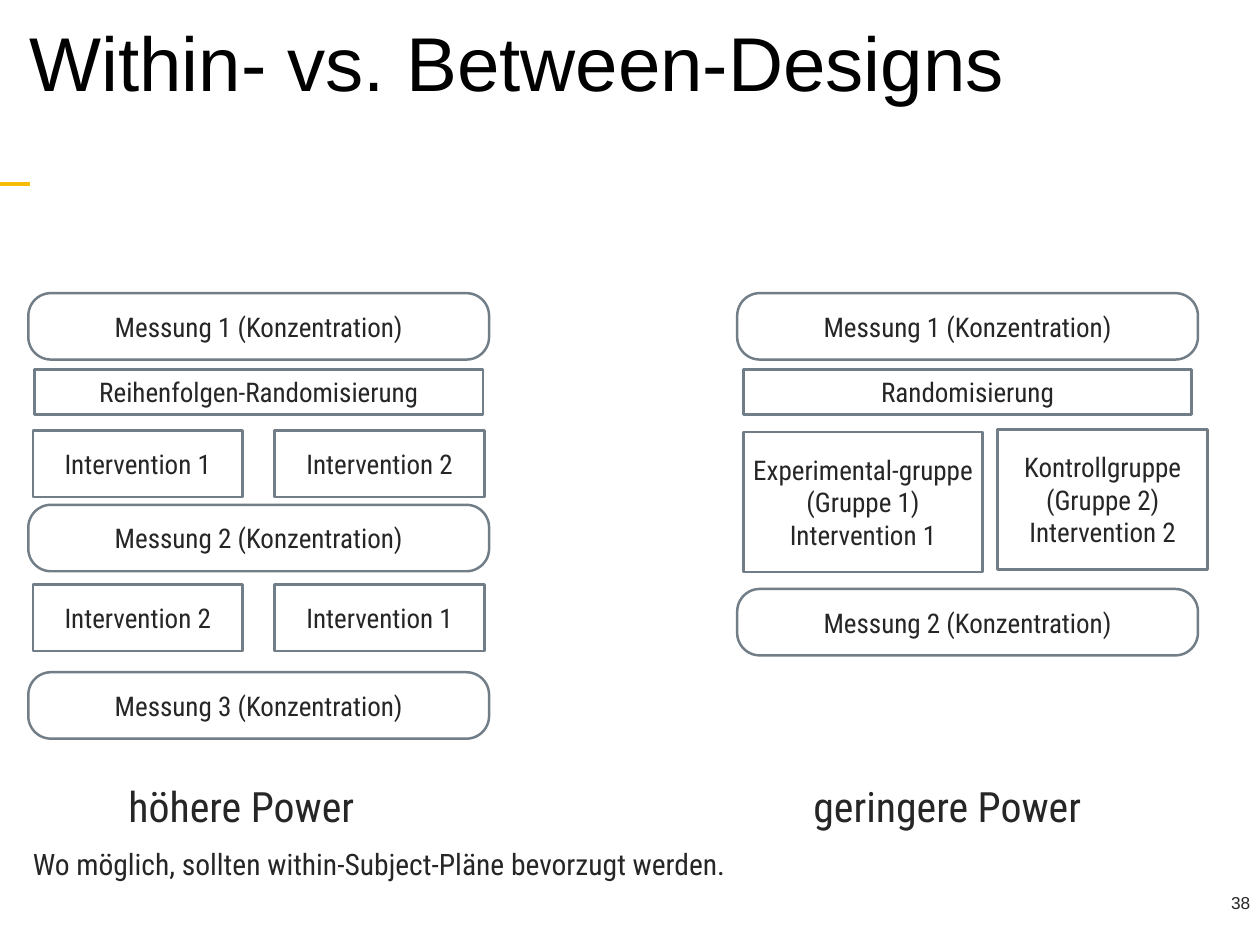
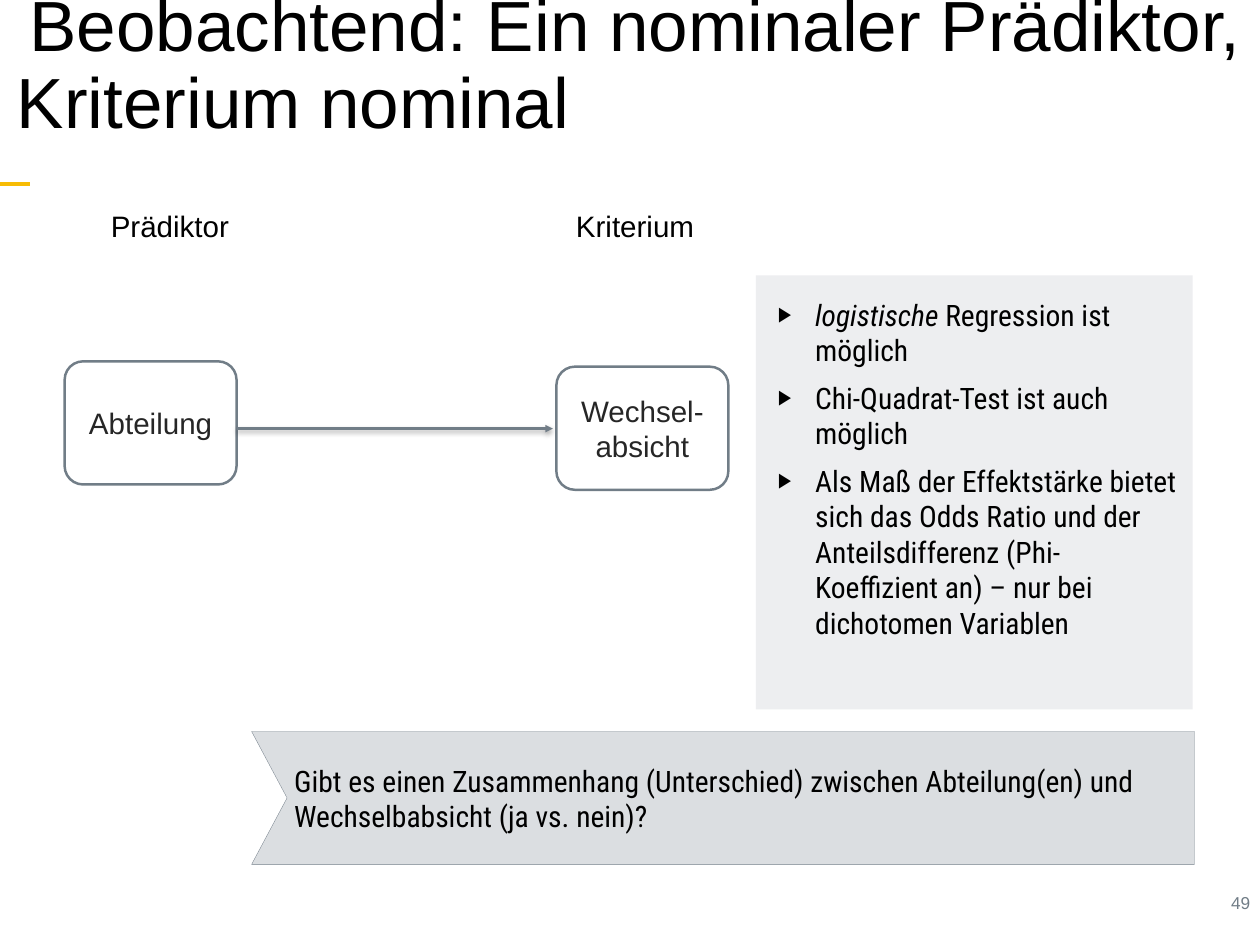
from lxml.etree import SubElement as Sub
from pptx import Presentation
from pptx.dml.color import RGBColor
from pptx.enum.shapes import MSO_CONNECTOR as Conn, MSO_SHAPE as Kind
from pptx.enum.text import MSO_ANCHOR as Anchor, PP_ALIGN as Align
from pptx.oxml.ns import qn
from pptx.util import Inches, Pt

BLACK = RGBColor(0x00, 0x00, 0x00)
DARK = RGBColor(0x26, 0x26, 0x26)
GREY = RGBColor(0x71, 0x7D, 0x87)
PALE = RGBColor(0xED, 0xEE, 0xF0)
BAND = RGBColor(0xDB, 0xDE, 0xE1)
WHITE = RGBColor(0xFF, 0xFF, 0xFF)
GOLD = RGBColor(0xF7, 0xBC, 0x05)
SANS, COND = "Arial", "Roboto Condensed"


def write(shape, text, size, font=COND, color=DARK, align=Align.LEFT,
          anchor=Anchor.TOP, pad=(0.07, 0.07), wrap=True):
    """Fill a shape with text of one style; pad is left and right."""
    frame = shape.text_frame
    frame.word_wrap = wrap
    frame.vertical_anchor = anchor
    frame.margin_left, frame.margin_right = map(Inches, pad)
    frame.margin_top = frame.margin_bottom = Inches(0.07)
    frame.text = text
    for para in frame.paragraphs:
        para.alignment = align
        for run in para.runs:
            run.font.size, run.font.name = Pt(size), font
            run.font.color.rgb = color
    return frame


def label(slide, box, text, size, **style):
    area = slide.shapes.add_textbox(*map(Inches, box))
    return write(area, text, size, **style)


def paint(shape, fill, line=None, width=2):
    shape.shadow.inherit = False
    shape.fill.solid()
    shape.fill.fore_color.rgb = fill
    if line is None:
        shape.line.fill.background()
    else:
        shape.line.color.rgb, shape.line.width = line, Pt(width)


def block(slide, box, text, size=22, font=COND, curve=None):
    """Outlined box with centred text, rounded when curve is given."""
    kind = Kind.RECTANGLE if curve is None else Kind.ROUNDED_RECTANGLE
    shape = slide.shapes.add_shape(kind, *map(Inches, box))
    if curve is not None:
        shape.adjustments[0] = curve
    paint(shape, WHITE, GREY)
    write(shape, text, size, font, align=Align.CENTER, anchor=Anchor.MIDDLE)


def rule(slide, start, end, color, width):
    line = slide.shapes.add_connector(Conn.STRAIGHT, *map(Inches, start + end))
    line.line.color.rgb, line.line.width = color, Pt(width)
    return line, Sub(line._element.spPr, qn("a:effectLst"))


def frame(deck, title, size, number, tint):
    """New slide with the shared rule, number and title."""
    slide = deck.slides.add_slide(deck.slide_layouts[6])
    rule(slide, (0, 2.08), (0.34, 2.08), GOLD, 3)
    label(slide, (11.81, 10, 2.37, 0.36), number, 14, font=SANS, color=tint,
          align=Align.RIGHT)
    head = label(slide, (0, -0.02, 14.23, 1.55), title, size, font=SANS,
                 color=BLACK, anchor=Anchor.MIDDLE, pad=(0.05, 0.05))
    para = head.paragraphs[0]
    para.line_spacing = 0.9
    props = para._p.get_or_add_pPr()
    for key in ("marL", "indent"):
        props.set(key, str(Inches(0.14)))
    return slide


def column(slide, left, tests, draw, groups):
    """One study plan: measurements, randomisation and groups."""
    for count, top in enumerate(tests, 1):
        block(slide, (left, top, 5.2, 0.75),
              f"Messung {count} (Konzentration)", curve=0.34)
    block(slide, (left + 0.07, 4.17, 5.06, 0.51), draw)
    for (x, top, width, height), text in groups:
        block(slide, (left + x, top, width, height), text)


def designs(deck):
    slide = frame(deck, "Within- vs. Between-Designs", 62, "38", DARK)
    # Within design: both orders of the two interventions
    pairs = [((0.05 + 2.73 * col, 4.86 + 1.74 * row, 2.37, 0.75),
              f"Intervention {(row + col) % 2 + 1}")
             for row in range(2) for col in range(2)]
    column(slide, 0.32, (3.31, 5.7, 7.59), "Reihenfolgen-Randomisierung", pairs)
    # Between design: one intervention for each group
    teams = [((0.07, 4.88, 2.7, 1.58),
              "Experimental-gruppe (Gruppe 1)\vIntervention 1"),
             ((2.94, 4.85, 2.37, 1.58),
              "Kontrollgruppe (Gruppe 2)\vIntervention 2")]
    column(slide, 8.32, (3.31, 6.65), "Randomisierung", teams)
    # Verdicts
    for box, text, size in (
            ((1.38, 8.74, 2.71, 0.7), "höhere Power", 34),
            ((9.11, 8.74, 3.18, 0.7), "geringere Power", 34),
            ((0.3, 9.48, 7.97, 0.53),
             "Wo möglich, sollten within-Subject-Pläne bevorzugt werden.", 24)):
        label(slide, box, text, size, wrap=False)


def arrow(slide, start, end):
    """Arrow with a soft shadow below."""
    line, effects = rule(slide, start, end, GREY, 2)
    Sub(line.line._get_or_add_ln(), qn("a:tailEnd"), type="triangle")
    shade = Sub(effects, qn("a:outerShdw"), blurRad=str(Pt(4)),
                dist=str(Pt(2)), dir="5400000", rotWithShape="0")
    tone = Sub(shade, qn("a:srgbClr"), val=str(BLACK))
    Sub(tone, qn("a:alpha"), val="38000")


def notes(slide, left, top, width, height, items):
    """Pale panel with a bullet list."""
    panel = slide.shapes.add_shape(
        Kind.RECTANGLE, *map(Inches, (left, top, width, height)))
    paint(panel, PALE)
    text = label(slide, (left + 0.18, top + 0.17, width - 0.24, 3.92),
                 "\n".join(items), 24, color=BLACK)
    for index, para in enumerate(text.paragraphs):
        if index:
            para.space_before = Pt(10)
        props = para._p.get_or_add_pPr()
        props.set("marL", str(Inches(0.42)))
        props.set("indent", str(-Inches(0.42)))
        Sub(Sub(props, qn("a:buClr")), qn("a:srgbClr"), val=str(BLACK))
        Sub(props, qn("a:buSzPct"), val="70000")
        Sub(props, qn("a:buFont"), typeface=SANS)
        Sub(props, qn("a:buChar"), char="▶")
    return text


def banner(slide, left, top, width, height, text):
    """Band with a notched left edge."""
    right, low = left + width, top + height
    edge = [(right, top), (right, low), (left, low),
            (left + 0.4, top + height / 2)]
    pen = slide.shapes.build_freeform(Inches(left), Inches(top))
    pen.add_line_segments([tuple(map(Inches, point)) for point in edge])
    shape = pen.convert_to_shape()
    paint(shape, BAND, GREY, 0.25)
    write(shape, text, 24, color=BLACK, anchor=Anchor.MIDDLE, pad=(0.48, 0.08))


def nominal(deck):
    slide = frame(deck, "Beobachtend: Ein nominaler Prädiktor, "
                  "Kriterium nominal", 57.7, "49", GREY)
    banner(slide, 2.84, 8.26, 10.64, 1.5,
           "Gibt es einen Zusammenhang (Unterschied) zwischen Abteilung(en) "
           "und Wechselbabsicht (ja vs. nein)?")
    # Methods, with the first word in italics
    text = notes(slide, 8.53, 3.11, 4.93, 4.9, (
        "logistische",
        "Chi-Quadrat-Test ist auch möglich",
        "Als Maß der Effektstärke bietet sich das Odds Ratio und der "
        "Anteilsdifferenz (Phi-Koeffizient an) – nur bei dichotomen "
        "Variablen"))
    first = text.paragraphs[0]
    first.runs[0].font.italic = True
    rest = first.add_run()
    rest.text = " Regression ist möglich"
    rest.font.size, rest.font.name = Pt(24), COND
    rest.font.color.rgb = BLACK
    # Predictor and criterion
    for x, y, name, tag, shift in (
            (0.73, 4.08, "Abteilung", "Prädiktor", 0.45),
            (6.28, 4.14, "Wechsel-\vabsicht", "Kriterium", 0.15)):
        block(slide, (x, y, 1.94, 1.39), name, 24, SANS, 0.15)
        label(slide, (x + shift, 2.28, 1.49, 0.52), tag, 24, font=SANS,
              color=BLACK, wrap=False)
    arrow(slide, (2.67, 4.84), (6.24, 4.84))


def main():
    deck = Presentation()
    deck.slide_width, deck.slide_height = Inches(14.22), Inches(10.67)
    designs(deck)
    nominal(deck)
    deck.save("out.pptx")


if __name__ == "__main__":
    main()
